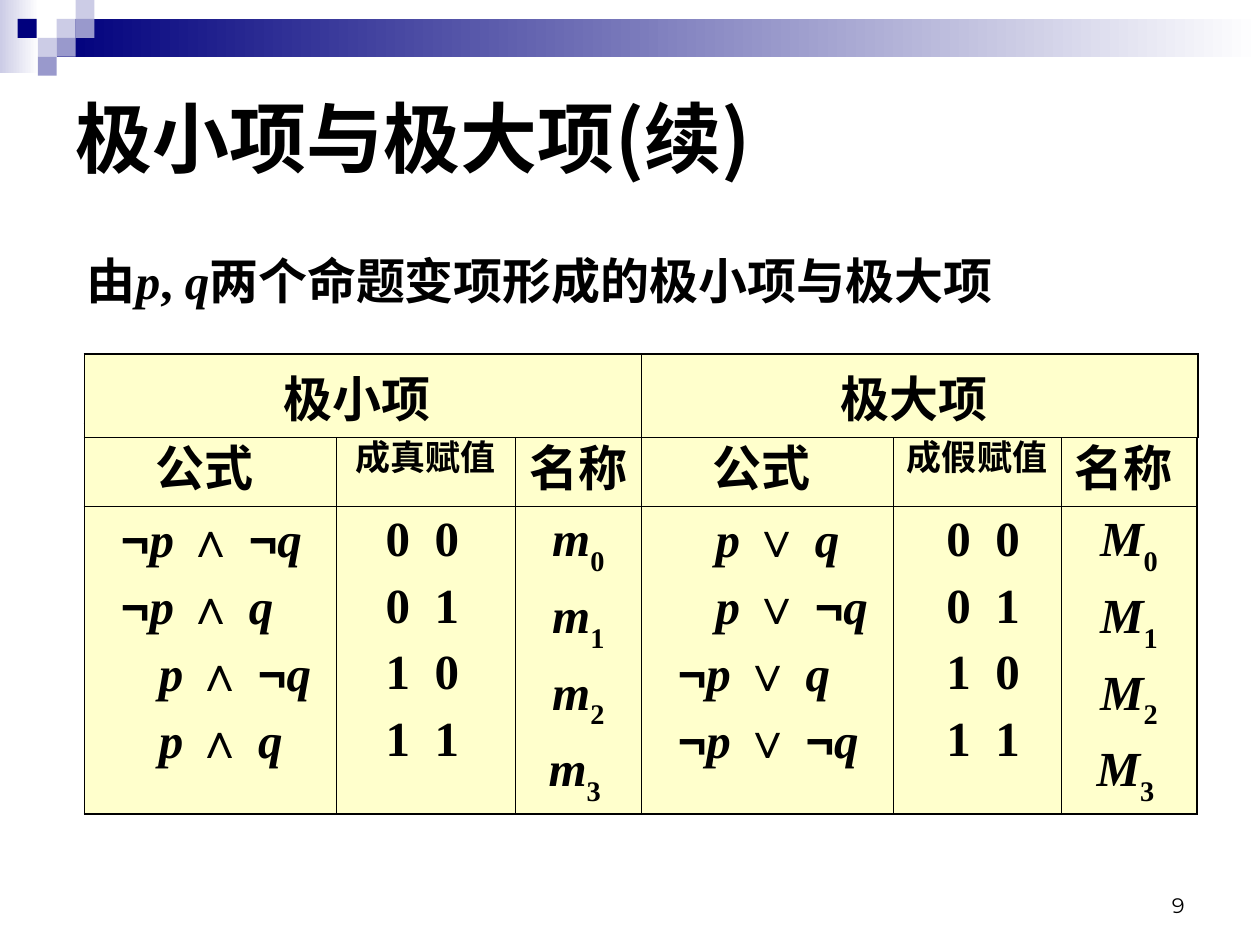
from dataclasses import dataclass
from itertools import groupby

from lxml.etree import SubElement
from pptx import Presentation
from pptx.dml.color import RGBColor
from pptx.enum.shapes import MSO_SHAPE
from pptx.enum.text import MSO_ANCHOR, MSO_AUTO_SIZE, PP_ALIGN
from pptx.oxml.ns import qn
from pptx.util import Inches, Pt


@dataclass(frozen=True)
class Theme:
    ink: str = "000000"
    paper: str = "FFFFFF"
    navy: str = "00007D"
    violet: str = "9999CC"
    lilac: str = "CCCCE6"
    cream: str = "FFFFCC"
    cjk: str = "Noto Sans CJK SC"
    serif: str = "Times New Roman"
    symbol: str = "Arial"
    number: str = "Montserrat"
    title: int = 44
    body: int = 28
    small: int = 20
    page: int = 12
    outer: float = 1.08
    inner: float = 0.45


def set_attrs(target, values):
    for name, value in values.items():
        setattr(target, name, value)


def kinds(text):
    kind, result = "number", []
    for char in text:
        if char == " ":
            kind = "gap" if kind == "number" and result else kind
        elif char in "¬∧∨":
            kind = "symbol"
        elif char.isdigit():
            kind = "sub" if kind in ("variable", "sub") else "number"
        elif char.isascii() and char.isalpha():
            kind = "variable"
        elif char == ",":
            kind = "comma"
        else:
            kind = "cjk"
        result.append((kind, char))
    for kind, group in groupby(result, lambda pair: pair[0]):
        yield kind, "".join(char for _, char in group)


class Deck:
    def __init__(self, theme):
        self.theme = theme
        self.prs = Presentation()
        set_attrs(self.prs, {"slide_width": Inches(10), "slide_height": Inches(7.5)})
        self.s = self.prs.slides.add_slide(self.prs.slide_layouts[1])

    def color(self, name):
        return RGBColor.from_string(getattr(self.theme, name))

    def run(self, p, text, size, font, bold=True, italic=False):
        r = p.add_run()
        r.text = text
        set_attrs(r.font, {"name": font, "size": Pt(size), "bold": bold, "italic": italic})
        r.font.color.rgb = self.color("ink")
        rPr = r.font._element
        SubElement(rPr, qn("a:ea")).set("typeface", font)
        return rPr

    def rich(self, p, text, size):
        fonts = {"cjk": self.theme.cjk, "symbol": self.theme.symbol}
        for kind, part in kinds(text):
            rPr = self.run(p, part, size, fonts.get(kind, self.theme.serif),
                           italic=kind == "variable")
            if kind == "sub":
                rPr.set("baseline", "-30000")
            elif kind == "gap":
                rPr.set("spc", "700")

    def block(self, sp, left, top, width, height):
        set_attrs(sp, {"left": Inches(left), "top": Inches(top),
                       "width": Inches(width), "height": Inches(height)})

    def rect(self, left, top, width, height, fill, fade=None):
        sp = self.s.shapes.add_shape(MSO_SHAPE.RECTANGLE, Inches(left), Inches(top),
                                     Inches(width), Inches(height))
        sp.shadow.inherit = False
        sp.line.fill.background()
        if fade:
            sp.fill.gradient()
            sp.fill.gradient_angle = 0
            for stop, name, position in zip(sp.fill.gradient_stops, (fill, fade), (0, 1)):
                stop.color.rgb = self.color(name)
                stop.position = position
        else:
            sp.fill.solid()
            sp.fill.fore_color.rgb = self.color(fill)

    def title(self, text, *box):
        sp = self.s.shapes.title
        self.block(sp, *box)
        tf = sp.text_frame
        set_attrs(tf, {"vertical_anchor": MSO_ANCHOR.MIDDLE, "auto_size": MSO_AUTO_SIZE.NONE})
        p = tf.paragraphs[0]
        p.alignment = PP_ALIGN.LEFT
        self.run(p, text, self.theme.title, self.theme.cjk)

    def body(self, text, *box):
        sp = self.s.placeholders[1]
        self.block(sp, *box)
        tf = sp.text_frame
        tf.auto_size = MSO_AUTO_SIZE.NONE
        p = tf.paragraphs[0]
        p.space_before = Pt(0)
        pPr = p._p.get_or_add_pPr()
        pPr.set("marL", str(Inches(0.38)))
        pPr.set("indent", str(-Inches(0.38)))
        SubElement(pPr, qn("a:buNone"))
        self.rich(p, text, self.theme.body)

    def page_number(self, text, *box):
        sp = self.s.shapes.add_textbox(*map(Inches, box))
        tf = sp.text_frame
        set_attrs(tf, {"word_wrap": True, "vertical_anchor": MSO_ANCHOR.BOTTOM})
        p = tf.paragraphs[0]
        p.alignment = PP_ALIGN.RIGHT
        self.run(p, text, self.theme.page, self.theme.number, bold=False)

    def borders(self, cell, edges):
        tcPr = cell._tc.get_or_add_tcPr()
        for side, is_outer in edges.items():
            width = self.theme.outer if is_outer else self.theme.inner
            ln = SubElement(tcPr, qn(f"a:ln{side}"), w=str(Pt(width)))
            fill = SubElement(ln, qn("a:solidFill"))
            SubElement(fill, qn("a:srgbClr"), val=self.theme.ink)

    def cell(self, cell, lines, size, align):
        cell.fill.solid()
        cell.fill.fore_color.rgb = self.color("cream")
        tf = cell.text_frame
        for i, line in enumerate(lines):
            p = tf.add_paragraph() if i else tf.paragraphs[0]
            indent, text = line if isinstance(line, tuple) else (0, line)
            set_attrs(p, {"alignment": align, "space_before": Pt(7 if i else 0)})
            p._p.get_or_add_pPr().set("marL", str(Inches(indent)))
            self.rich(p, text, size)

    def table(self, left, top, widths, heights, rows):
        frame = self.s.shapes.add_table(len(heights), len(widths), Inches(left), Inches(top),
                                        Inches(sum(widths)), Inches(sum(heights)))
        table = frame.table
        set_attrs(table, {"first_row": False, "horz_banding": False})
        for column, width in zip(table.columns, widths):
            column.width = Inches(width)
        for row, height in zip(table.rows, heights):
            row.height = Inches(height)
        for i, row in enumerate(rows):
            for j, lines in enumerate(row):
                cell = table.cell(i, j)
                self.borders(cell, {"L": j == 0, "R": j == len(widths) - 1,
                                    "T": i == 0, "B": i == len(heights) - 1})
                size = self.theme.small if "赋值" in lines[0] else self.theme.body
                align = PP_ALIGN.LEFT if isinstance(lines[0], tuple) else PP_ALIGN.CENTER
                self.cell(cell, lines, size, align)


def main():
    deck = Deck(Theme())
    deck.rect(0, 0, 0.31, 0.58, "lilac", "paper")
    deck.rect(0.45, 0.15, 9.55, 0.3, "navy", "paper")
    for left, top, fill in [(0.45, 0.15, "lilac"), (0.6, 0, "lilac"), (0.6, 0.15, "violet"),
                            (0.3, 0.3, "lilac"), (0.14, 0.15, "navy"),
                            (0.45, 0.3, "violet"), (0.3, 0.45, "violet")]:
        deck.rect(left, top, 0.15, 0.15, fill)
    deck.title("极小项与极大项(续)", 0.5, 0.5, 9, 1.17)
    deck.body("由p, q两个命题变项形成的极小项与极大项", 0.59, 1.94, 9, 0.67)

    near, far = 0.19, 0.49
    minterms = [(near, "¬p ∧ ¬q"), (near, "¬p ∧ q"), (far, "p ∧ ¬q"), (far, "p ∧ q")]
    maxterms = [(far, "p ∨ q"), (far, "p ∨ ¬q"), (near, "¬p ∨ q"), (near, "¬p ∨ ¬q")]
    values = ["0 0", "0 1", "1 0", "1 1"]
    names = ["0", "1", "2", "3 "]
    headings = [["公式 "], ["成真赋值"], ["名称 "], ["公式 "], ["成假赋值"], ["名称 "]]
    terms = [minterms, [(0.29, v) for v in values], ["m" + n for n in names],
             maxterms, [" " + v for v in values], ["M" + n for n in names]]
    deck.table(0.67, 3.36, [2, 1.42, 1, 2, 1.33, 1.08], [0.66, 2.44], [headings, terms])
    deck.table(0.67, 2.81, [4.42, 4.42], [0.66], [[["极小项 "], ["极大项 "]]])
    deck.page_number("9", 7.17, 6.83, 2.33, 0.5)
    deck.prs.save("out.pptx")


if __name__ == "__main__":
    main()
